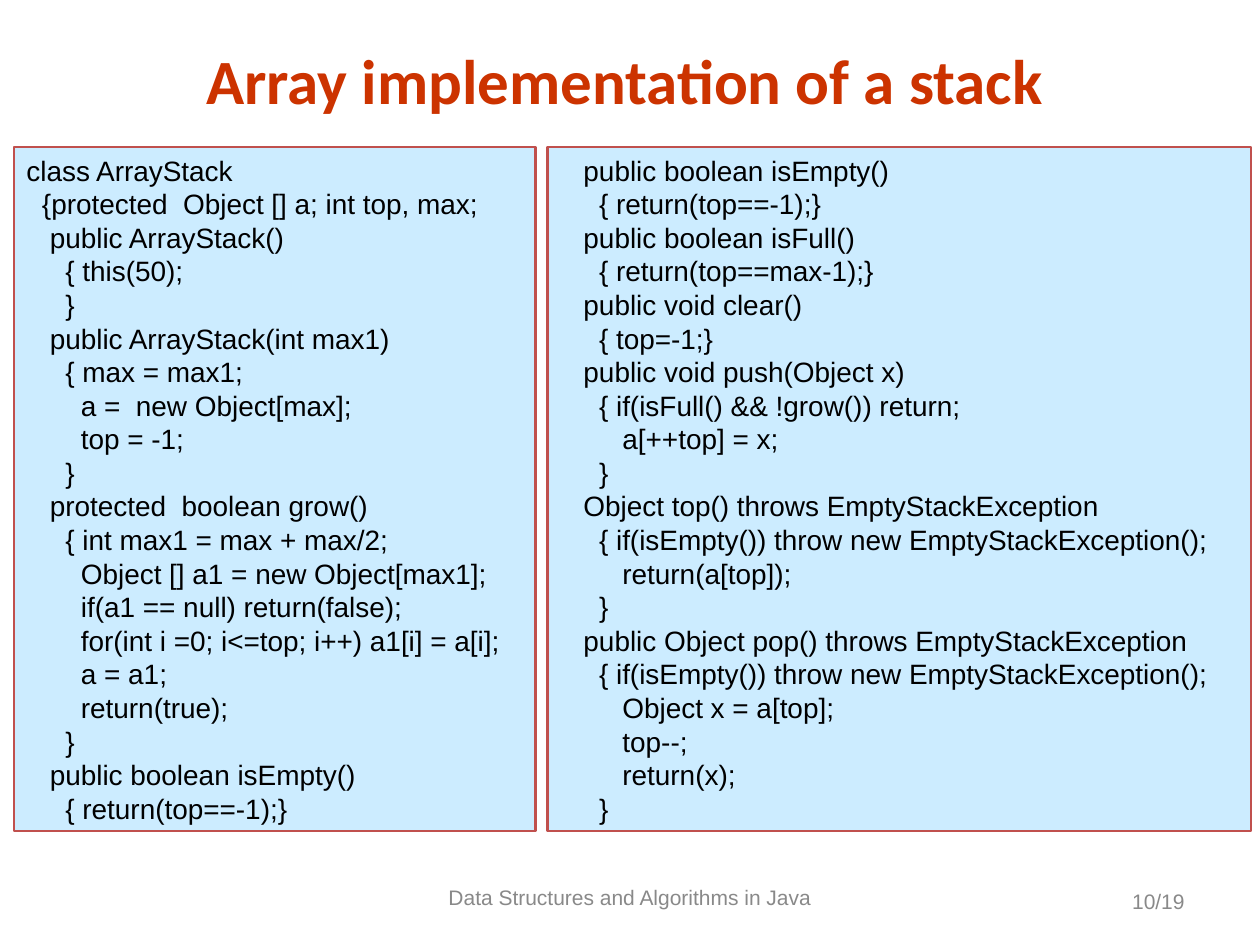
from dataclasses import dataclass

from pptx import Presentation
from pptx.dml.color import RGBColor
from pptx.enum.shapes import MSO_SHAPE as Shape
from pptx.enum.text import MSO_ANCHOR as Anchor, PP_ALIGN as Align
from pptx.slide import Slide
from pptx.text.text import _Paragraph as Paragraph
from pptx.util import Pt


@dataclass(frozen=True)
class Theme:
    title_color: RGBColor = RGBColor(0xCC, 0x33, 0x00)
    code_color: RGBColor = RGBColor(0, 0, 0)
    footer_color: RGBColor = RGBColor(0x89, 0x89, 0x89)
    panel_fill: RGBColor = RGBColor(0xCC, 0xEC, 0xFF)
    panel_line: RGBColor = RGBColor(0xC0, 0x50, 0x4D)
    title_font: str = "Calibri"
    body_font: str = "Arial"
    title_size: float = 36
    code_size: float = 16
    footer_size: float = 12
    space_width: float = 4.45  # one Arial space at code_size


@dataclass(frozen=True)
class Box:
    left: float
    top: float
    width: float
    height: float

    def emu(self) -> tuple:
        return Pt(self.left), Pt(self.top), Pt(self.width), Pt(self.height)


@dataclass(frozen=True)
class Label:
    text: str
    box: Box
    align: Align
    font: str
    size: float
    color: RGBColor
    bold: bool = False


@dataclass(frozen=True)
class CodePanel:
    box: Box
    code: str


THEME = Theme()

LABELS = [
    Label("Array implementation of a stack", Box(18, 20, 678, 50.4), Align.CENTER,
          THEME.title_font, THEME.title_size, THEME.title_color, True),
    Label("Data Structures and Algorithms in Java", Box(228, 498.25, 264, 28.8),
          Align.CENTER, THEME.body_font, THEME.footer_size, THEME.footer_color),
    Label("10/19", Box(516, 500.4, 168, 28.8), Align.RIGHT,
          THEME.body_font, THEME.footer_size, THEME.footer_color),
]

PANELS = [
    CodePanel(Box(8, 84, 298, 391), """
class ArrayStack
  {protected  Object [] a; int top, max;
   public ArrayStack()
     { this(50);
     }
   public ArrayStack(int max1)
     { max = max1;
       a =  new Object[max];
       top = -1;
     }
   protected  boolean grow()
     { int max1 = max + max/2;
       Object [] a1 = new Object[max1];
       if(a1 == null) return(false);
       for(int i =0; i<=top; i++) a1[i] = a[i];
       a = a1;
       return(true);
     }
   public boolean isEmpty()
     { return(top==-1);}
"""),
    CodePanel(Box(313, 84, 402, 391), """
   public boolean isEmpty()
     { return(top==-1);}
   public boolean isFull()
     { return(top==max-1);}
   public void clear()
     { top=-1;}
   public void push(Object x)
     { if(isFull() && !grow()) return;
        a[++top] = x;
     }
   Object top() throws EmptyStackException
     { if(isEmpty()) throw new EmptyStackException();
        return(a[top]);
     }
   public Object pop() throws EmptyStackException
     { if(isEmpty()) throw new EmptyStackException();
        Object x = a[top];
        top--;
        return(x);
     }
"""),
]


def set_font(p: Paragraph, name: str, size: float, color: RGBColor,
             bold: bool = False) -> None:
    p.font.name = name
    p.font.size = Pt(size)
    p.font.bold = bold
    p.font.color.rgb = color


def add_label(s: Slide, label: Label) -> None:
    tf = s.shapes.add_textbox(*label.box.emu()).text_frame
    tf.word_wrap = True
    tf.vertical_anchor = Anchor.MIDDLE
    p = tf.paragraphs[0]
    p.text = label.text
    p.alignment = label.align
    set_font(p, label.font, label.size, label.color, label.bold)


def add_code_panel(s: Slide, panel: CodePanel) -> None:
    """Draw a panel, turning the leading spaces of each code line into an indent."""
    sp = s.shapes.add_shape(Shape.RECTANGLE, *panel.box.emu())
    sp.shadow.inherit = False
    sp.fill.solid()
    sp.fill.fore_color.rgb = THEME.panel_fill
    sp.line.color.rgb = THEME.panel_line
    sp.line.width = Pt(1.5)
    tf = sp.text_frame
    tf.word_wrap = True
    tf.vertical_anchor = Anchor.TOP
    for i, line in enumerate(panel.code.strip("\n").split("\n")):
        p = tf.paragraphs[0] if i == 0 else tf.add_paragraph()
        p.text = line.lstrip()
        p.alignment = Align.LEFT
        indent = Pt((len(line) - len(p.text)) * THEME.space_width)
        p._p.get_or_add_pPr().set("marL", str(indent))
        set_font(p, THEME.body_font, THEME.code_size, THEME.code_color)


def main() -> None:
    prs = Presentation()
    prs.slide_width, prs.slide_height = Pt(720), Pt(540)
    s = prs.slides.add_slide(prs.slide_layouts[6])
    for label in LABELS:
        add_label(s, label)
    for panel in PANELS:
        add_code_panel(s, panel)
    prs.save("out.pptx")


if __name__ == "__main__":
    main()
